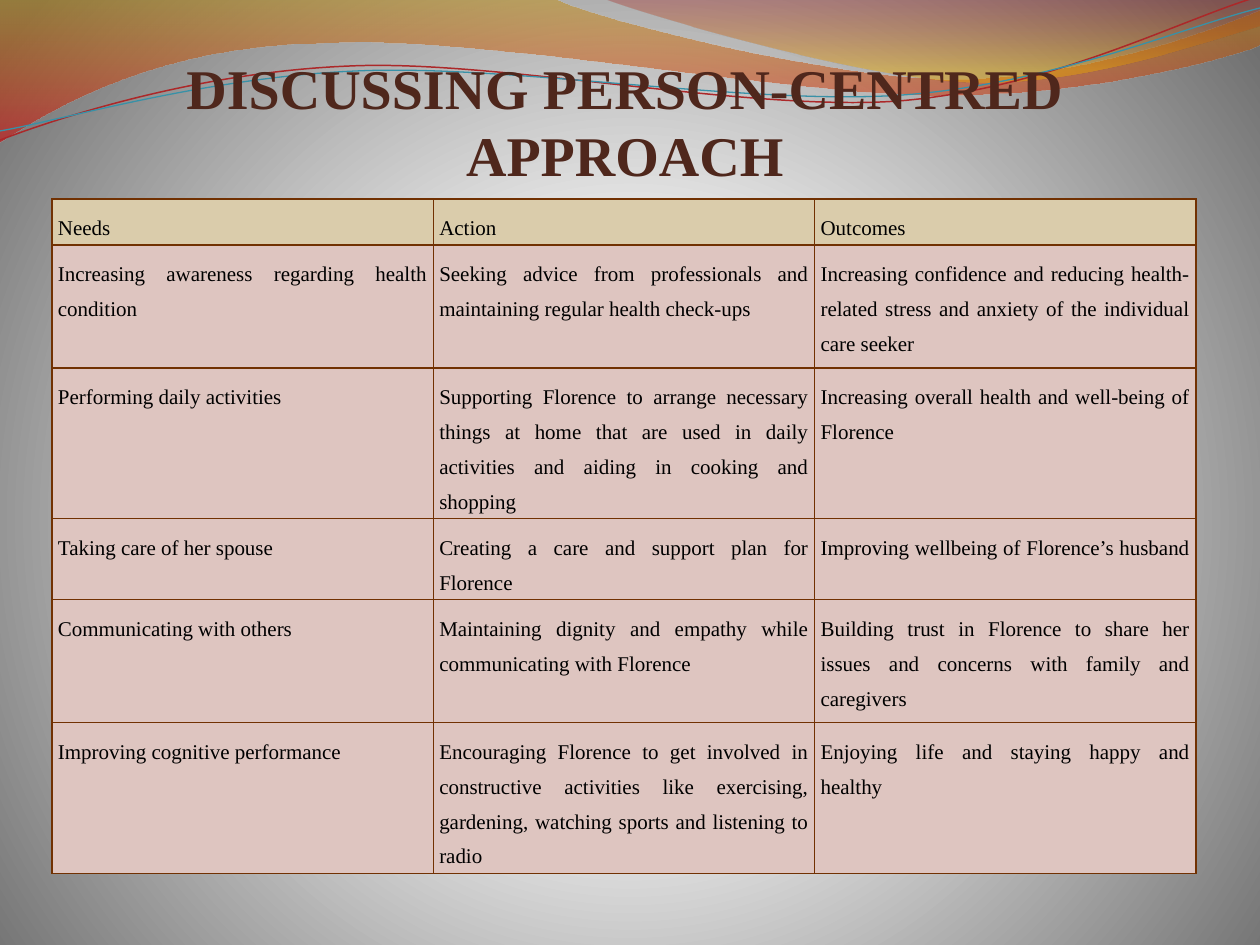
from lxml import etree
from pptx import Presentation
from pptx import util as u
from pptx.dml.color import RGBColor
from pptx.enum import text
from pptx.oxml import parse_xml
from pptx.oxml.ns import nsdecls, qn

PX = u.Inches(1) // 126
FONT = "Times New Roman"
BROWN = RGBColor(0x4F, 0x27, 0x1C)
BLACK = RGBColor(0, 0, 0)
BORDER = RGBColor(0x71, 0x31, 0x02)
HEADER = RGBColor(0xDA, 0xCC, 0xAB)
BODY = RGBColor(0xDE, 0xC5, 0xC0)
WHITE = RGBColor(0xFF, 0xFF, 0xFF)
GREY = RGBColor(0x70, 0x70, 0x70)
GOLD = RGBColor(0xC3, 0x8B, 0x00)
RED = RGBColor(0xD6, 0x03, 0x05)
CRIMSON = RGBColor(0xA1, 0x11, 0x12)
AMBER = RGBColor(0xE9, 0xA6, 0x00)
LINE_RED = RGBColor(0xAC, 0x28, 0x29)
LINE_TEAL = RGBColor(0x38, 0x91, 0xA7)

# Outlines: two numbers are a straight step, six numbers are a Bezier curve.
WAVES = [
    ([(0, 0), (554, -1), (600, 21, 837, 79, 955, 79),
      (1074, 79, 1207, 33, 1260, 11), (1261, 45),
      (1239, 55, 1096, 96, 940, 95), (784, 95, 481, 35, 324, 43),
      (161, 45, 58, 105, -1, 142), (0, 0)],
     [(0, GOLD, 45), (100, RED, 55)]),
    ([(604, -1), (641, 14, 859, 78, 969, 82),
      (1079, 87, 1211, 40, 1260, 26), (1260, 0), (604, -1)],
     [(0, CRIMSON, 30), (80, AMBER, 45)]),
]
STRANDS = [
    ([(0, 140), (60, 117, 199, 72, 349, 66), (495, 59, 747, 112, 898, 101),
      (1050, 89, 1182, 19, 1257, -3)], LINE_RED, 0.85),
    ([(0, 131), (59, 121, 207, 77, 357, 71), (508, 64, 752, 106, 903, 95),
      (1053, 84, 1186, 26, 1260, 8)], LINE_TEAL, 0.75),
]

ROWS = [
    ("Needs ", "Action ", "Outcomes "),
    ("Increasing awareness regarding health condition ",
     "Seeking advice from professionals and maintaining regular health check-ups",
     "Increasing confidence and reducing health-related stress and anxiety of "
     "the individual care seeker"),
    ("Performing daily activities ",
     "Supporting Florence to arrange necessary things at home that are used in "
     "daily activities and aiding in cooking and shopping ",
     "Increasing overall health and well-being of Florence "),
    ("Taking care of her spouse ",
     "Creating a care and support plan for Florence ",
     "Improving wellbeing of Florence’s husband "),
    ("Communicating with others ",
     "Maintaining dignity and empathy while communicating with Florence ",
     "Building trust in Florence to share her issues and concerns with family "
     "and caregivers "),
    ("Improving cognitive performance ",
     "Encouraging Florence to get involved in constructive activities like "
     "exercising, gardening, watching sports and listening to radio ",
     "Enjoying life and staying happy and healthy "),
]
ROW_HEIGHTS = [46, 123, 150, 81, 123, 151]


def gradient(stops, direction):
    """Return a gradFill element from (position, colour, opacity) stops."""
    gs = "".join(
        f'<a:gs pos="{pos * 1000}"><a:srgbClr val="{color}">'
        f'<a:alpha val="{alpha * 1000}"/></a:srgbClr></a:gs>'
        for pos, color, alpha in stops)
    return parse_xml(f'<a:gradFill {nsdecls("a")} rotWithShape="1">'
                     f'<a:gsLst>{gs}</a:gsLst>{direction}</a:gradFill>')


def replace_fill(fill, parent, new):
    fill.solid()
    parent.replace(parent.find(qn("a:solidFill")), new)


def add_background(s):
    fill = s.background.fill
    fill.solid()
    bg_pr = s.element.find(".//" + qn("p:bgPr"))
    replace_fill(fill, bg_pr, gradient(
        [(0, WHITE, 100), (25, WHITE, 100), (100, GREY, 100)],
        '<a:path path="circle"><a:fillToRect l="10000" t="110000" '
        'r="10000" b="100000"/></a:path>'))


def add_outline(s, steps, close):
    """Draw through every point, then merge each curve's three segments."""
    points = [(step[i] * PX, step[i + 1] * PX)
              for step in steps for i in range(0, len(step), 2)]
    builder = s.shapes.build_freeform(*points[0], scale=1.0)
    builder.add_line_segments(points[1:], close=close)
    sp = builder.convert_to_shape()
    sp.shadow.inherit = False
    segments = iter(sp._element.findall(".//" + qn("a:lnTo")))
    for step in steps[1:]:
        first = next(segments)
        if len(step) == 6:
            first.tag = qn("a:cubicBezTo")
            for extra in (next(segments), next(segments)):
                first.append(extra[0])
                extra.getparent().remove(extra)
    return sp


def add_waves(s):
    for steps, stops in WAVES:
        sp = add_outline(s, steps, True)
        replace_fill(sp.fill, sp._element.spPr,
                     gradient(stops, '<a:lin ang="5400000" scaled="0"/>'))
        sp.line.fill.background()
    for steps, color, width in STRANDS:
        sp = add_outline(s, steps, False)
        sp.fill.background()
        sp.line.color.rgb = color
        sp.line.width = u.Pt(width)


def format_runs(p, size, color, bold=False):
    for r in p.runs:
        r.font.name = FONT
        r.font.size = u.Pt(size)
        r.font.bold = bold
        r.font.color.rgb = color


def add_title(s, left, top, width, height):
    title = s.shapes.title
    title._element.getparent().append(title._element)  # in front of the waves
    title.left, title.top = left * PX, top * PX
    title.width, title.height = width * PX, height * PX
    tf = title.text_frame
    tf.text = "DISCUSSING PERSON-CENTRED APPROACH"
    tf.word_wrap = True
    tf.auto_size = text.MSO_AUTO_SIZE.NONE
    tf.vertical_anchor = text.MSO_ANCHOR.BOTTOM
    tf.margin_left = tf.margin_right = 0
    tf.margin_top, tf.margin_bottom = 6 * PX, 67 * PX
    p = tf.paragraphs[0]
    p.alignment = text.PP_ALIGN.CENTER
    format_runs(p, 32, BROWN, bold=True)


def add_borders(cell):
    tc_pr = cell._tc.get_or_add_tcPr()
    for side in ("lnL", "lnR", "lnT", "lnB"):
        ln = etree.SubElement(tc_pr, qn(f"a:{side}"), w=str(u.Pt(0.75)))
        fill = etree.SubElement(ln, qn("a:solidFill"))
        etree.SubElement(fill, qn("a:srgbClr"), val=str(BORDER))


def add_needs_table(s, left, top, width, height):
    cols = len(ROWS[0])
    table = s.shapes.add_table(len(ROWS), cols, left * PX, top * PX,
                               width * PX, height * PX).table
    for col in table.columns:
        col.width = width * PX // cols
    for i, row in enumerate(ROWS):
        table.rows[i].height = ROW_HEIGHTS[i] * PX
        for j, words in enumerate(row):
            cell = table.cell(i, j)
            add_borders(cell)
            cell.fill.solid()
            cell.fill.fore_color.rgb = BODY if i else HEADER
            cell.margin_left = cell.margin_right = cell.margin_top = 6 * PX
            cell.margin_bottom = 5 * PX
            p = cell.text_frame.paragraphs[0]
            p.text = words
            p.alignment = text.PP_ALIGN.JUSTIFY
            p.line_spacing = 1.5
            format_runs(p, 12, BLACK)


def main():
    prs = Presentation()
    prs.slide_width, prs.slide_height = 1260 * PX, 945 * PX
    s = prs.slides.add_slide(prs.slide_layouts[5])
    add_background(s)
    add_waves(s)
    add_title(s, 53, 53, 1144, 202)
    add_needs_table(s, 52, 199, 1144, sum(ROW_HEIGHTS))
    prs.save("out.pptx")


if __name__ == "__main__":
    main()
